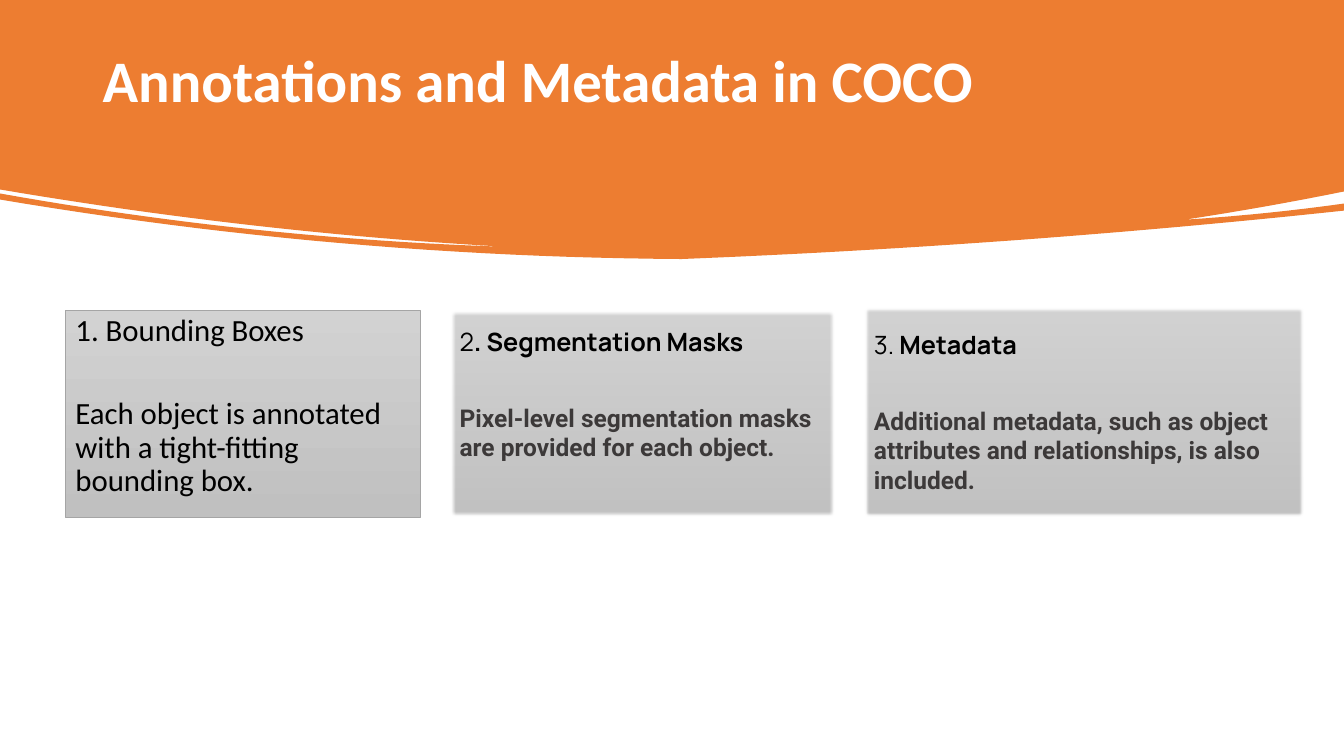
import pptx
import pptx.util
import pptx.dml.color
import pptx.enum.shapes
import pptx.enum.text
import pptx.oxml.ns
import lxml.etree

Inches = pptx.util.Inches
Pt = pptx.util.Pt
RGBColor = pptx.dml.color.RGBColor

ORANGE = RGBColor(0xED, 0x7D, 0x31)
WHITE = RGBColor(0xFF, 0xFF, 0xFF)
BLACK = RGBColor(0, 0, 0)
CHARCOAL = RGBColor(0x3C, 0x39, 0x39)
CARD_TOP = RGBColor(0xD2, 0xD2, 0xD2)
CARD_BOTTOM = RGBColor(0xC0, 0xC0, 0xC0)
CARD_LINE = RGBColor(0xA5, 0xA5, 0xA5)

SLIDE_WIDTH, SLIDE_HEIGHT = 13.33, 7.5
CURVE_STEPS = 24

TITLE_BOX = (0.92, 0.44, 11.5, 1.47)
TITLE_INSET = 0.07
TITLE_RUN = ("Annotations and Metadata in COCO", "Calibri", 42, True, WHITE)

LOWEST_POINT = (6.76, 2.57)
LEFT_SLIT_TIP = (5.04, 2.45)
RIGHT_SLIT_TIP = (11.75, 2.18)
BANNER_CURVES = [
    {"start": (SLIDE_WIDTH, 1.9), "pull": 2.06, "end": RIGHT_SLIT_TIP},
    {"start": RIGHT_SLIT_TIP, "pull": 2.13, "end": (SLIDE_WIDTH, 2.02)},
    {"start": (SLIDE_WIDTH, 2.09), "pull": 2.44, "end": LOWEST_POINT},
    {"start": LOWEST_POINT, "pull": 2.55, "end": (0, 1.98)},
    {"start": (0, 1.92), "pull": 2.37, "end": LEFT_SLIT_TIP},
    {"start": LEFT_SLIT_TIP, "pull": 2.31, "end": (0, 1.88)},
]

FIRST_STYLE = {"number": ("Calibri", 22, False, BLACK), "name": ("Calibri", 22, False, BLACK),
               "body": ("Calibri", 22, False, BLACK),
               "gap": 36, "spacing": 0.9, "soft_edge": 0}
SOFT_STYLE = {"number": ("Manrope", 18, False, BLACK), "name": ("Manrope", 18, True, BLACK),
              "body": ("Roboto", 17.5, True, CHARCOAL),
              "gap": 33, "spacing": 1.0, "soft_edge": 2.5}

CARDS = [
    {"box": (0.65, 3.08, 3.52, 2.05), "inset": 0.04, "style": FIRST_STYLE,
     "number": "1. ", "name": "Bounding Boxes",
     "body": "Each object is annotated with a tight-fitting bounding box."},
    {"box": (4.46, 3.07, 3.82, 2.06), "inset": 0.17, "style": SOFT_STYLE,
     "number": "2", "name": ". Segmentation Masks",
     "body": "Pixel-level segmentation masks are provided for each object."},
    {"box": (8.57, 3.04, 4.37, 2.09), "inset": 0.23, "style": SOFT_STYLE,
     "number": "3. ", "name": "Metadata",
     "body": "Additional metadata, such as object attributes and relationships, is also included."},
]


def curve_points(curve):
    (start_x, start_y), (end_x, end_y) = curve["start"], curve["end"]
    points = []
    for step in range(CURVE_STEPS + 1):
        t = step / CURVE_STEPS
        x = start_x + (end_x - start_x) * t
        y = (1 - t) ** 2 * start_y + 2 * t * (1 - t) * curve["pull"] + t ** 2 * end_y
        points.append((x, y))
    return points


def add_banner(slide):
    outline = [(0, 0), (SLIDE_WIDTH, 0)]
    for curve in BANNER_CURVES:
        outline.extend(curve_points(curve))
    points = [(Inches(x), Inches(y)) for x, y in outline]
    builder = slide.shapes.build_freeform(*points[0])
    builder.add_line_segments(points[1:], close=True)
    banner = builder.convert_to_shape()
    banner.shadow.inherit = False
    banner.fill.solid()
    banner.fill.fore_color.rgb = ORANGE
    banner.line.fill.background()


def prepare_frame(shape, inset):
    frame = shape.text_frame
    frame.word_wrap = True
    frame.vertical_anchor = pptx.enum.text.MSO_ANCHOR.TOP
    frame.margin_top = Inches(inset)
    return frame


def write_paragraph(paragraph, runs, spacing):
    paragraph.alignment = pptx.enum.text.PP_ALIGN.LEFT
    paragraph.line_spacing = spacing
    for text, font_name, size, bold, color in runs:
        run = paragraph.add_run()
        run.text = text
        run.font.name = font_name
        run.font.size = Pt(size)
        run.font.bold = bold
        run.font.color.rgb = color


def add_title(slide):
    title = slide.shapes.add_textbox(*map(Inches, TITLE_BOX))
    frame = prepare_frame(title, TITLE_INSET)
    write_paragraph(frame.paragraphs[0], [TITLE_RUN], 0.9)


def soften_edges(shape, radius):
    effects = shape.element.spPr.find(pptx.oxml.ns.qn("a:effectLst"))
    lxml.etree.SubElement(effects, pptx.oxml.ns.qn("a:softEdge"), rad=str(Pt(radius)))


def add_card(slide, card):
    style = card["style"]
    rectangle = pptx.enum.shapes.MSO_SHAPE.RECTANGLE
    shape = slide.shapes.add_shape(rectangle, *map(Inches, card["box"]))
    shape.shadow.inherit = False
    shape.fill.gradient()
    shape.fill.gradient_angle = 270
    for stop, color in zip(shape.fill.gradient_stops, (CARD_TOP, CARD_BOTTOM)):
        stop.color.rgb = color
    shape.line.color.rgb = CARD_LINE
    shape.line.width = Pt(0.5)
    if style["soft_edge"]:
        soften_edges(shape, style["soft_edge"])

    frame = prepare_frame(shape, card["inset"])
    heading, body = frame.paragraphs[0], frame.add_paragraph()
    for paragraph, parts in ((heading, ("number", "name")), (body, ("body",))):
        runs = [(card[part], *style[part]) for part in parts]
        write_paragraph(paragraph, runs, style["spacing"])
    heading.space_after = Pt(style["gap"])


def main():
    presentation = pptx.Presentation()
    presentation.slide_width = Inches(SLIDE_WIDTH)
    presentation.slide_height = Inches(SLIDE_HEIGHT)
    slide = presentation.slides.add_slide(presentation.slide_layouts[6])
    add_banner(slide)
    add_title(slide)
    for card in CARDS:
        add_card(slide, card)
    presentation.save("out.pptx")


if __name__ == "__main__":
    main()
